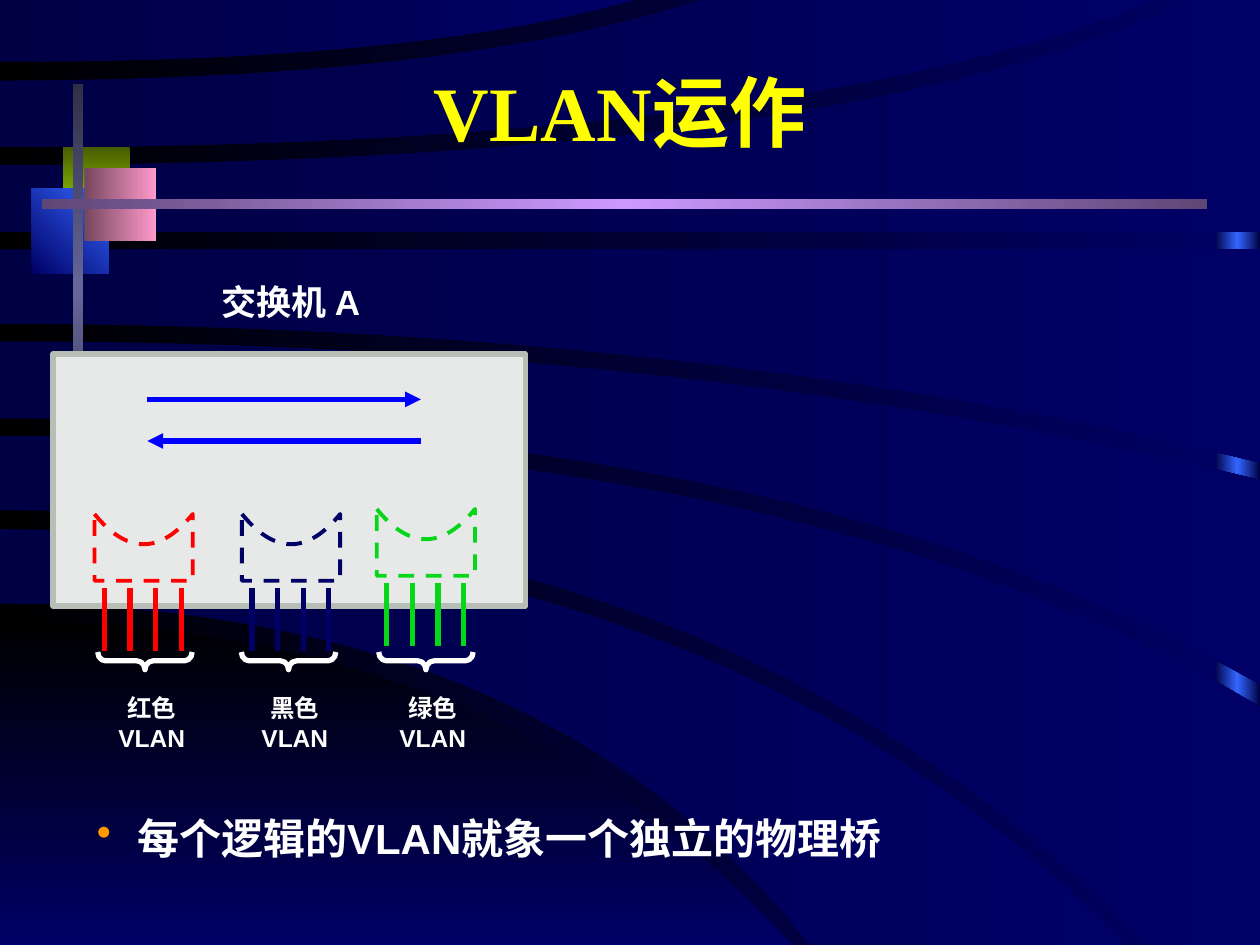
from copy import deepcopy
from lxml.etree import SubElement
from pptx import Presentation
from pptx.dml.color import RGBColor
from pptx.enum.dml import MSO_LINE
from pptx.enum.shapes import MSO_CONNECTOR, MSO_SHAPE
from pptx.enum.text import MSO_ANCHOR, PP_ALIGN
from pptx.oxml.ns import qn
from pptx.util import Inches, Pt

HUES = {
    "black": "000000", "navy": "000066", "deep": "000044", "sky": "3366FF",
    "moss": "475E00", "lime": "99CC00", "plum": "76475E", "pink": "FF99CC",
    "slate": "2F2F47", "steel": "666699", "grape": "5E4776", "lilac": "CC99FF",
    "panel": "E7E9E8", "rim": "B7BEB6", "red": "FF0000", "green": "07D71B",
    "blue": "0000FF", "white": "FFFFFF", "gold": "FFFF00", "amber": "FF9900",
}
RGB = {name: RGBColor.from_string(code) for name, code in HUES.items()}
CJK = "Noto Sans CJK SC"

# Grid of 100 columns by 75 rows with square cells
deck = Presentation()
deck.slide_width, deck.slide_height = Inches(10), Inches(7.5)
CELL = deck.slide_width // 100
slide = deck.slides.add_slide(deck.slide_layouts[6])
shapes = slide.shapes


def shade(part, fill, names, turn=0):
    """Linear gradient through the named colours, turned counter-clockwise."""
    fill.gradient()
    fill.gradient_angle = turn
    stops = part.element.xpath(".//a:gsLst")[0]
    if len(names) == 3:
        stops.insert(1, deepcopy(stops[0]))
    for i, (stop, name) in enumerate(zip(fill.gradient_stops, names)):
        stop.color.rgb = RGB[name]
        stop.position = i / (len(names) - 1)


def write(box, lines, size, hue, face="Arial", wrap=False, align=PP_ALIGN.CENTER):
    """Text box with one paragraph per line."""
    frame = shapes.add_textbox(*[round(n * CELL) for n in box]).text_frame
    frame.word_wrap, frame.vertical_anchor = wrap, MSO_ANCHOR.MIDDLE
    frame.text = "\n".join(lines)
    for para in frame.paragraphs:
        para.alignment = align
        for run in para.runs:
            font = run.font
            font.size, font.bold, font.name = Pt(size), True, face
            font.color.rgb = RGB[hue]
            SubElement(font._element, qn("a:ea")).set("typeface", CJK)
    return frame


# Backdrop
shade(slide, slide.background.fill, ["black", "navy"])

# Sweeping bands: upper edge, lower edge, slide corner between them.
# An edge leaves the left side level at a row, bends at a column and ends at a point.
bands = [
    ((49.3, 39.5, 62.9, 75), (75, 0, 0, 75), []),
    ((42, 57, 89.4, 75), (47.9, 43, 64.3, 75), []),
    ((34.6, 64, 100, 56.1), (40.5, 58, 91, 75), [(100, 75)]),
    ((27.1, 55, 100, 38.1), (33.2, 63, 100, 54.3), []),
    ((19.8, 50, 100, 19.8), (25.7, 55, 100, 36.7), []),
    ((13.1, 67, 94.4, 0), (18.4, 50, 100, 18.4), [(100, 0)]),
    ((6.4, 36, 55.7, 0), (11.7, 63, 91.8, 0), []),
    ((0, 25, 50.2, 0), (4.9, 33, 50.2, 0), []),
]
STEPS = [i / 24 for i in range(25)]
strip = shapes.add_shape(MSO_SHAPE.RECTANGLE, *[round(n * CELL) for n in (96.4, 0, 3.6, 75)])
strip.shadow.inherit = False
strip.line.fill.background()
shade(strip, strip.fill, ["deep", "sky", "deep"])
for upper, lower, corner in bands:
    above, below = [
        [(2 * t * (1 - t) * bend + t * t * x, (1 - t * t) * row + t * t * y) for t in STEPS]
        for row, bend, x, y in (upper, lower)
    ]
    ring = [(x * CELL, y * CELL) for x, y in above + corner + below[::-1]]
    pen = shapes.build_freeform(*ring[0])
    pen.add_line_segments(ring[1:], close=True)
    band = pen.convert_to_shape()
    band.shadow.inherit = False
    band.line.fill.background()
    if upper == bands[0][0]:
        shade(band, band.fill, ["black", "navy"], 270)
    else:
        shade(band, band.fill, ["deep", "navy"])

# Corner squares and crossing bars
for box, names, turn in [
    ((5, 11.7, 5.3, 5.2), ["moss", "lime"], 270),
    ((2.5, 15, 6.1, 6.7), ["navy", "sky"], 45),
    ((6.7, 13.3, 5.7, 5.8), ["plum", "pink"], 0),
    ((5.8, 6.7, 0.83, 32.5), ["slate", "steel", "slate"], 270),
    ((3.3, 15.8, 92.5, 0.83), ["grape", "lilac", "grape"], 0),
]:
    tile = shapes.add_shape(MSO_SHAPE.RECTANGLE, *[round(n * CELL) for n in box])
    tile.shadow.inherit = False
    tile.line.fill.background()
    shade(tile, tile.fill, names, turn)

# Switch
write((16.3, 21.7, 13.6, 4.4), ["交换机 A"], 20, "white")
panel = shapes.add_shape(MSO_SHAPE.RECTANGLE, *[round(n * CELL) for n in (4.2, 28.1, 37.5, 20)])
panel.shadow.inherit = False
panel.fill.solid()
panel.fill.fore_color.rgb = RGB["panel"]
panel.line.color.rgb, panel.line.width = RGB["rim"], Pt(3)

# Arrows in the switch, then the bridge, ports, brace and label of each VLAN
lines = [(11.7, 31.7, 33.4, 31.7, "blue"), (33.4, 35, 11.7, 35, "blue")]
for left, top, hue, mid, start, wide, name in [
    (7.5, 40.8, "red", 11.5, 8.4, 7.3, ["红色", "VLAN"]),
    (19.2, 40.8, "navy", 22.9, 19.5, 7.8, ["黑色", "VLAN "]),
    (29.9, 40.4, "green", 33.8, 30.7, 7.3, ["绿色", "VLAN"]),
]:
    dip = [(left + 7.8 * t, top + 9.6 * t * (1 - t)) for t in STEPS]
    base = [(left + 7.8, top + 5.3), (left, top + 5.3)]
    ring = [(x * CELL, y * CELL) for x, y in dip + base]
    pen = shapes.build_freeform(*ring[0])
    pen.add_line_segments(ring[1:], close=True)
    bridge = pen.convert_to_shape()
    bridge.shadow.inherit = False
    bridge.fill.background()
    bridge.line.color.rgb, bridge.line.width = RGB[hue], Pt(2.25)
    bridge.line.dash_style = MSO_LINE.DASH
    for i in range(4):
        x = left + 0.8 + 2.03 * i
        lines.append((x, top + 5.9, x, top + 10.9, hue))
    brace = shapes.add_shape(MSO_SHAPE.RIGHT_BRACE,
                             *[round(n * CELL) for n in (mid - 0.7, 48.7, 1.4, 7.5)])
    brace.rotation = 90
    brace.adjustments[0] = 0.45
    brace.shadow.inherit = False
    brace.fill.background()
    brace.line.color.rgb, brace.line.width = RGB["white"], Pt(3)
    write((start, 54.5, wide, 5.7), name, 14, "white")

for *ends, hue in lines:
    wire = shapes.add_connector(MSO_CONNECTOR.STRAIGHT, *[round(n * CELL) for n in ends])
    wire.line.color.rgb, wire.line.width = RGB[hue], Pt(3)
    if hue == "blue":
        SubElement(wire.line._get_or_add_ln(), qn("a:tailEnd")).set("type", "triangle")
    SubElement(wire.element.spPr, qn("a:effectLst"))

# Statement with bullet
point = write((6.7, 64, 85, 5), ["每个逻辑的VLAN就象一个独立的物理桥"], 24, "white",
              wrap=True, align=PP_ALIGN.LEFT).paragraphs[0]
props = point._p.get_or_add_pPr()
props.set("marL", str(Inches(0.32)))
props.set("indent", str(-Inches(0.32)))
SubElement(SubElement(props, qn("a:buClr")), qn("a:srgbClr")).set("val", HUES["amber"])
SubElement(props, qn("a:buChar")).set("char", "•")

# Title
write((6.7, 2.5, 85, 12.5), ["VLAN运作"], 44, "gold", "Times New Roman", wrap=True)

deck.save("out.pptx")
